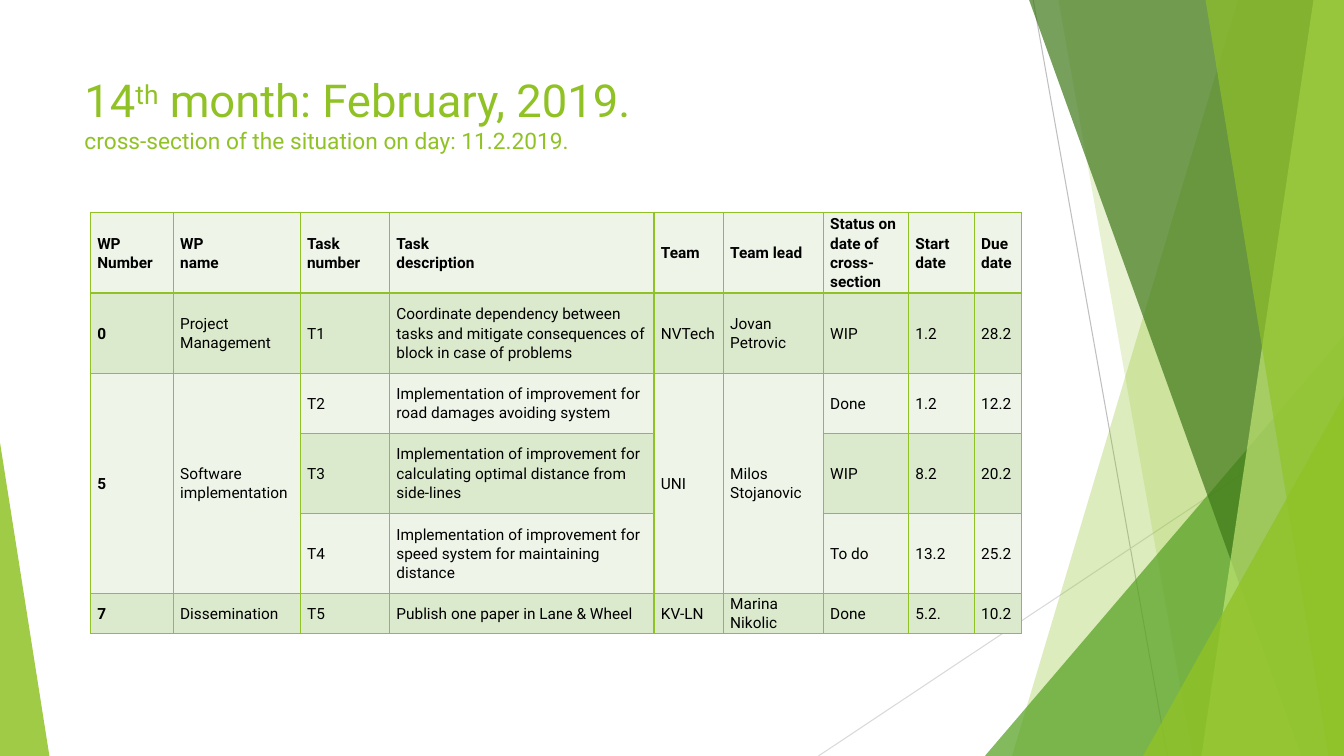
from lxml.etree import SubElement
from pptx import Presentation
from pptx.dml.color import RGBColor
from pptx.enum.shapes import MSO_CONNECTOR, MSO_SHAPE
from pptx.enum.text import MSO_ANCHOR
from pptx.oxml.ns import qn
from pptx.util import Pt

WIDTH, HEIGHT = 960, 540
FONT = "Roboto"
GREEN, PALE, TINT, BLACK = "90C226", "EEF4E8", "DBE9CD", "000000"

COLUMN_WIDTHS = [59.2, 90.7, 63.8, 189, 49.5, 71.4, 60.9, 47, 34]
ROW_HEIGHTS = [57.6, 57.4, 42.7, 57.3, 57.3, 28.4]
MERGED_COLUMNS = [0, 1, 4, 5]
MERGED_ROWS = (2, 4)
ROWS = [
    ["WP\nNumber", "WP\nname", "Task\nnumber", "Task\ndescription", "Team", "Team lead",
     "Status on date of\ncross-section", "Start date", "Due date"],
    ["0", "Project Management", "T1",
     "Coordinate dependency between tasks and mitigate consequences of block in case of problems",
     "NVTech", "Jovan\nPetrovic", "WIP", "1.2", "28.2"],
    ["5", "Software implementation", "T2",
     "Implementation of improvement for road damages avoiding system",
     "UNI", "Milos\nStojanovic", "Done", "1.2", "12.2"],
    ["", "", "T3",
     "Implementation of improvement for calculating optimal distance from side-lines",
     "", "", "WIP", "8.2", "20.2"],
    ["", "", "T4",
     "Implementation of improvement for speed system for maintaining distance",
     "", "", "To do", "13.2", "25.2"],
    ["7", "Dissemination", "T5", "Publish one paper in Lane & Wheel",
     "KV-LN", "Marina\nNikolic", "Done", "5.2.", "10.2"],
]


def color(value):
    return RGBColor.from_string(value)


def paint(shape, fill, opacity):
    shape.shadow.inherit = False
    shape.line.fill.background()
    shape.fill.solid()
    shape.fill.fore_color.rgb = color(fill)
    tone = shape.fill._xPr.find(qn("a:solidFill"))[0]
    SubElement(tone, qn("a:alpha"), val=str(opacity * 1000))


def add_thin_line(slide, start, end, tone):
    line = slide.shapes.add_connector(
        MSO_CONNECTOR.STRAIGHT, *(Pt(value) for value in start + end))
    line.line.color.rgb = color(tone)
    line.line.width = Pt(0.75)
    SubElement(line._element.spPr, qn("a:effectLst"))


def add_band(slide, top_left, bottom_left, bottom_right, fill, opacity):
    """Full-height band that reaches the right edge of the slide."""
    outline = slide.shapes.build_freeform(Pt(top_left), 0, scale=1.0)
    corners = [(WIDTH, 0), (bottom_right, HEIGHT), (bottom_left, HEIGHT)]
    outline.add_line_segments([(Pt(x), Pt(y)) for x, y in corners], close=True)
    paint(outline.convert_to_shape(), fill, opacity)


def add_corner(slide, left, top, width, apex, fill, opacity):
    """Triangle that stands on the bottom edge of the slide."""
    corner = slide.shapes.add_shape(
        MSO_SHAPE.ISOSCELES_TRIANGLE, Pt(left), Pt(top), Pt(width), Pt(HEIGHT - top))
    corner.adjustments[0] = apex
    paint(corner, fill, opacity)


def add_span(para, text, size, tone, bold=False):
    span = para.add_run()
    span.text = text
    span.font.name = FONT
    span.font.size = Pt(size)
    span.font.bold = bold
    span.font.color.rgb = color(tone)
    return span


def add_title(slide):
    box = slide.shapes.add_textbox(Pt(53.3), Pt(48.2), Pt(676.8), Pt(103.7))
    box.text_frame.word_wrap = True
    para = box.text_frame.paragraphs[0]
    add_span(para, "14", 32.4, GREEN)
    ordinal = add_span(para, "th", 32.4, GREEN)
    ordinal._r.get_or_add_rPr().set("baseline", "30000")
    add_span(para, " month: February, 2019.", 32.4, GREEN)
    para.add_line_break()
    add_span(para, "cross-section of the situation on day: 11.2.2019.", 16.2, GREEN)


def add_borders(cell):
    properties = cell._tc.get_or_add_tcPr()
    for side in ("lnL", "lnR", "lnT", "lnB"):
        border = SubElement(properties, qn(f"a:{side}"), w=str(Pt(1)))
        fill = SubElement(border, qn("a:solidFill"))
        SubElement(fill, qn("a:srgbClr"), val=GREEN)


def fill_cell(cell, text, fill, bold):
    add_borders(cell)
    cell.fill.solid()
    cell.fill.fore_color.rgb = color(fill)
    cell.vertical_anchor = MSO_ANCHOR.MIDDLE
    cell.margin_left = cell.margin_right = Pt(5)
    cell.margin_top = cell.margin_bottom = 0
    if not text:
        return
    for index, part in enumerate(text.split("\n")):
        frame = cell.text_frame
        para = frame.add_paragraph() if index else frame.paragraphs[0]
        para.line_spacing = 1.07
        add_span(para, part, 11, BLACK, bold)


def add_task_table(slide):
    frame = slide.shapes.add_table(
        len(ROWS), len(COLUMN_WIDTHS), Pt(64.5), Pt(151.7),
        Pt(sum(COLUMN_WIDTHS)), Pt(sum(ROW_HEIGHTS)))
    table = frame.table
    table.first_row = table.horz_banding = False
    for column, width in zip(table.columns, COLUMN_WIDTHS):
        column.width = Pt(width)
    for row, height in zip(table.rows, ROW_HEIGHTS):
        row.height = Pt(height)
    for row_index, texts in enumerate(ROWS):
        for column_index, text in enumerate(texts):
            bold = row_index == 0 or column_index == 0
            fill = TINT if row_index % 2 else PALE
            fill_cell(table.cell(row_index, column_index), text, fill, bold)
    first, last = MERGED_ROWS
    for column_index in MERGED_COLUMNS:
        table.cell(first, column_index).merge(table.cell(last, column_index))


def add_decoration(slide):
    add_thin_line(slide, (738, 0), (833.8, HEIGHT), "BFBFBF")
    add_thin_line(slide, (WIDTH, 290.2), (584.6, HEIGHT), "D9D9D9")
    add_band(slide, 884.2, 722.9, WIDTH, GREEN, 30)
    add_band(slide, 756, 851.8, WIDTH, GREEN, 20)
    add_corner(slide, 703.5, 239.8, 256.5, 1, "54A021", 72)
    add_band(slide, 735.1, 929.5, WIDTH, "3F7819", 70)
    add_band(slide, 938.2, 858.2, WIDTH, "C0E474", 70)
    add_band(slide, 861.1, 949, WIDTH, GREEN, 65)
    add_corner(slide, 816.5, 283, 143.5, 1, GREEN, 80)
    add_corner(slide, 0, 316.1, 35.3, 0, GREEN, 85)


def main():
    deck = Presentation()
    deck.slide_width, deck.slide_height = Pt(WIDTH), Pt(HEIGHT)
    page = deck.slides.add_slide(deck.slide_layouts[6])
    # Background facets
    add_decoration(page)
    # Heading and task overview
    add_title(page)
    add_task_table(page)
    deck.save("out.pptx")


main()
